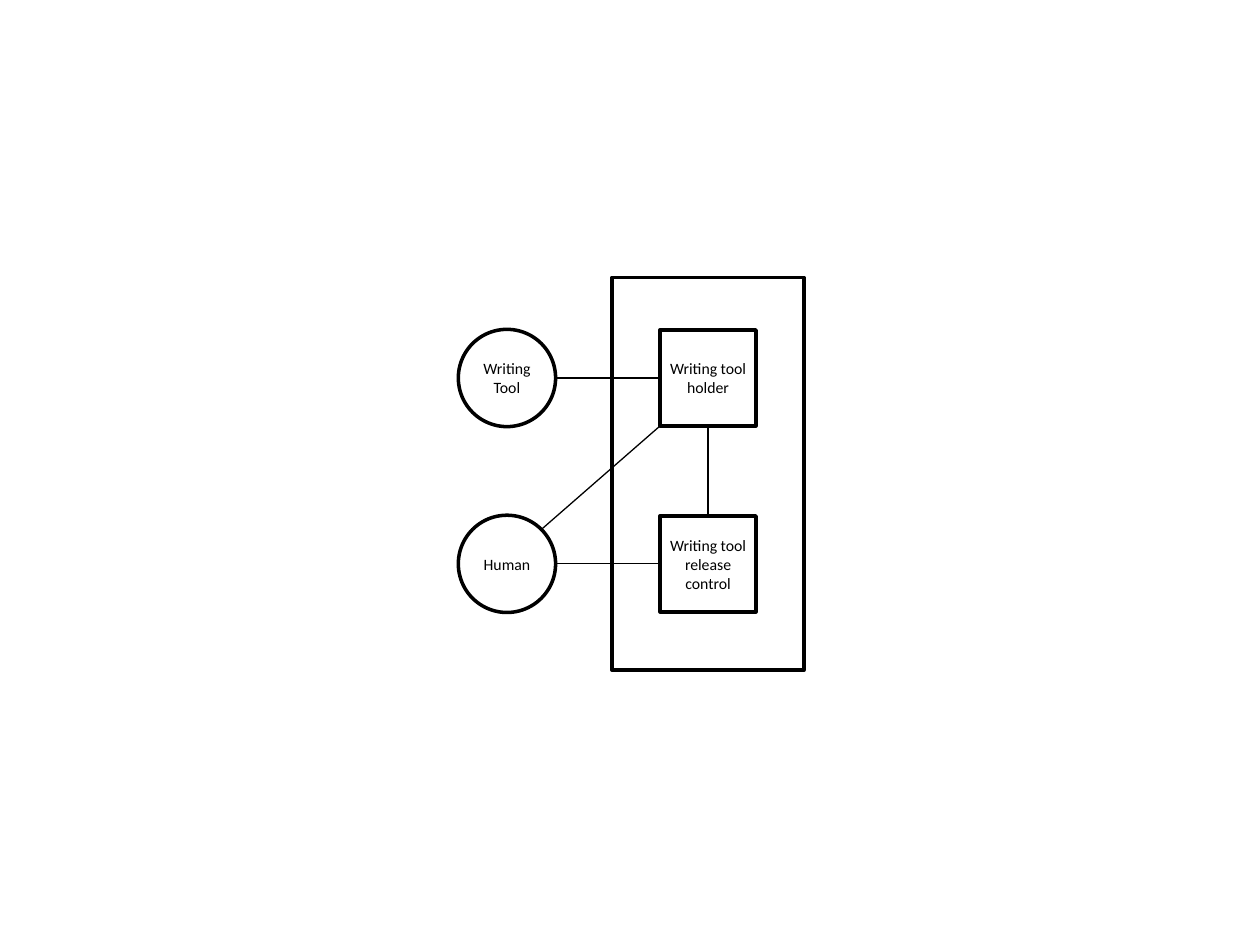
from math import sqrt

from lxml.etree import SubElement
from pptx import Presentation
from pptx.dml.color import RGBColor
from pptx.enum.shapes import MSO_CONNECTOR as Link, MSO_SHAPE as Shape
from pptx.enum.text import MSO_ANCHOR as Anchor, PP_ALIGN as Align
from pptx.oxml.ns import qn
from pptx.util import Pt

COLORS = {"ink": "000000", "paper": "FFFFFF"}


class Diagram:
    """Holds the drawing style and the current slide."""

    font, text_size = "Calibri", 9
    outline, link_width = 2, 0.75

    def __init__(self, slide):
        self.shapes = slide.shapes

    def color(self, name):
        """Return a named colour."""
        return RGBColor.from_string(COLORS[name])

    def outlined(self, kind, left, top, width, height):
        """Add an unfilled shape with a heavy outline."""
        shape = self.shapes.add_shape(kind, Pt(left), Pt(top), Pt(width), Pt(height))
        shape.shadow.inherit = False
        shape.fill.background()
        shape.line.color.rgb = self.color("ink")
        shape.line.width = Pt(self.outline)
        return shape

    def node(self, kind, center_x, center_y, size, label):
        """Add a filled, labelled node around a centre point."""
        node = self.outlined(kind, center_x - size / 2, center_y - size / 2, size, size)
        node.fill.solid()
        node.fill.fore_color.rgb = self.color("paper")
        frame = node.text_frame
        frame.word_wrap = True
        frame.vertical_anchor = Anchor.MIDDLE
        frame.margin_left = frame.margin_right = Pt(5.2)
        frame.margin_top = frame.margin_bottom = Pt(2.6)
        frame.text = label
        paragraph = frame.paragraphs[0]
        paragraph.alignment = Align.CENTER
        font = paragraph.runs[0].font
        font.name, font.size = self.font, Pt(self.text_size)
        font.color.rgb = self.color("ink")

    def link(self, start, end):
        """Add a thin straight line between two points."""
        line = self.shapes.add_connector(Link.STRAIGHT, *map(Pt, (*start, *end)))
        line.line.color.rgb = self.color("ink")
        line.line.width = Pt(self.link_width)
        SubElement(line._element.spPr, qn("a:effectLst"))


deck = Presentation()
deck.slide_width, deck.slide_height = Pt(720), Pt(540)
diagram = Diagram(deck.slides.add_slide(deck.slide_layouts[6]))

ACTOR_X, PART_X = 289.7, 404.6
UPPER_Y, LOWER_Y = 216, 322.2
CIRCLE, SQUARE = 55.6, 54.8
actor_edge = ACTOR_X + CIRCLE / 2
part_edge = PART_X - SQUARE / 2
holder_bottom = UPPER_Y + SQUARE / 2
diagonal = CIRCLE / 2 / sqrt(2)

for kind, x, y, size, label in (
    (Shape.RECTANGLE, PART_X, UPPER_Y, SQUARE, "Writing tool holder"),
    (Shape.OVAL, ACTOR_X, UPPER_Y, CIRCLE, "Writing Tool"),
    (Shape.OVAL, ACTOR_X, LOWER_Y, CIRCLE, "Human"),
    (Shape.RECTANGLE, PART_X, LOWER_Y, SQUARE, "Writing tool release control"),
):
    diagram.node(kind, x, y, size, label)

for start, end in (
    ((actor_edge, LOWER_Y), (part_edge, LOWER_Y)),
    ((PART_X, holder_bottom), (PART_X, LOWER_Y - SQUARE / 2)),
    ((actor_edge, UPPER_Y), (part_edge, UPPER_Y)),
    ((ACTOR_X + diagonal, LOWER_Y - diagonal), (part_edge, holder_bottom)),
):
    diagram.link(start, end)

diagram.outlined(Shape.RECTANGLE, 349.8, 158.5, 109.6, 224.5)

deck.save("out.pptx")
